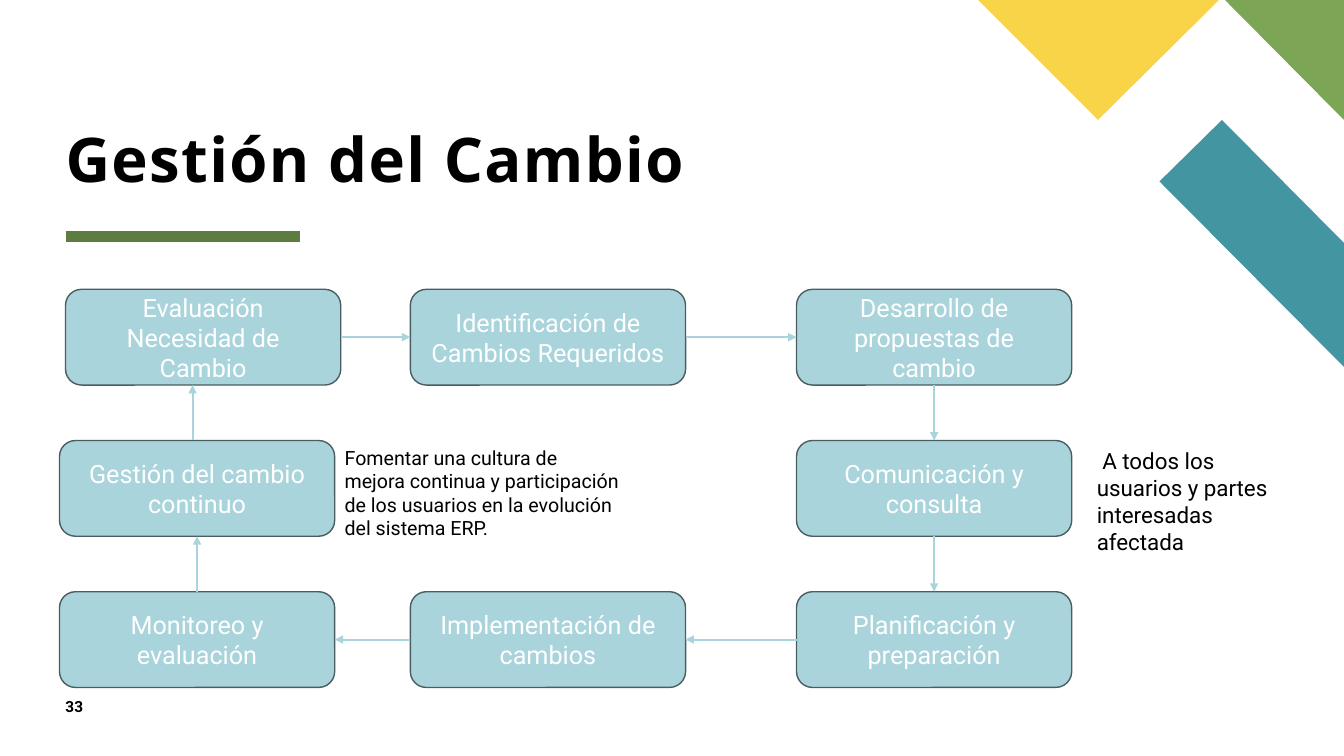
from dataclasses import dataclass

from lxml.etree import SubElement
from pptx import Presentation
from pptx.dml.color import RGBColor
from pptx.enum.shapes import MSO_CONNECTOR, MSO_SHAPE
from pptx.enum.text import MSO_ANCHOR, MSO_AUTO_SIZE, PP_ALIGN
from pptx.oxml.ns import qn
from pptx.shapes.autoshape import Shape
from pptx.shapes.connector import Connector
from pptx.slide import Slide
from pptx.util import Inches, Pt

WHITE = RGBColor(0xFF, 0xFF, 0xFF)
BLACK = RGBColor(0x00, 0x00, 0x00)
TEAL = RGBColor(0x44, 0x95, 0xA2)
GREEN = RGBColor(0x7C, 0xA6, 0x55)
YELLOW = RGBColor(0xF9, 0xD4, 0x48)
DARK_GREEN = RGBColor(0x5D, 0x7D, 0x40)
LIGHT_BLUE = RGBColor(0xA9, 0xD4, 0xDB)
SLATE = RGBColor(0x4A, 0x5D, 0x60)

BOX_W, BOX_H = 2.73, 0.95
ROWS = (2.87, 4.37, 5.87)
TOP, LEFT, BOTTOM, RIGHT = range(4)  # connection sites of a box


@dataclass
class Ornament:
    color: RGBColor
    points: list[tuple[float, float]]


@dataclass
class Step:
    text: str
    left: float
    row: int
    exit: int
    entry: int


@dataclass
class Label:
    text: str
    left: float
    top: float
    width: float
    height: float
    size: float
    font: str = "Roboto"
    bold: bool = False
    inset: bool = True
    anchor: MSO_ANCHOR = MSO_ANCHOR.TOP


ORNAMENTS = [
    Ornament(TEAL, [(13.33, 3.64), (13.33, 2.41), (12.12, 1.19), (11.5, 1.8)]),
    Ornament(GREEN, [(13.33, 1.19), (13.33, 0), (12.15, 0)]),
    Ornament(YELLOW, [(9.7, 0), (10.89, 1.19), (12.09, 0)]),
]

# Clockwise around the cycle; entry is the side where the arrow arrives
STEPS = [
    Step("Evaluación Necesidad de Cambio", 0.65, 0, RIGHT, BOTTOM),
    Step("Identificación de Cambios Requeridos", 4.07, 0, RIGHT, LEFT),
    Step("Desarrollo de propuestas de cambio", 7.9, 0, BOTTOM, LEFT),
    Step("Comunicación y consulta", 7.9, 1, BOTTOM, TOP),
    Step("Planificación y preparación", 7.9, 2, LEFT, TOP),
    Step("Implementación de cambios", 4.07, 2, LEFT, RIGHT),
    Step("Monitoreo y evaluación", 0.59, 2, TOP, RIGHT),
    Step("Gestión del cambio continuo", 0.59, 1, TOP, BOTTOM),
]

TITLE = Label("Gestión del Cambio", 0.65, 0.3, 10.69, 1.63, 44, "Open Sans",
              bold=True, inset=False, anchor=MSO_ANCHOR.BOTTOM)
LABELS = [
    Label(" A todos los usuarios y partes interesadas afectada",
          10.78, 4.39, 2.24, 0.91, 16),
    Label("Fomentar una cultura de mejora continua y participación de los "
          "usuarios en la evolución del sistema ERP.",
          3.32, 4.37, 2.94, 1.04, 14),
    Label("33", 0.65, 6.92, 0.57, 0.27, 11, bold=True, inset=False),
]


def add_ornament(s: Slide, o: Ornament) -> None:
    points = [(Inches(x), Inches(y)) for x, y in o.points]
    builder = s.shapes.build_freeform(*points[0])
    builder.add_line_segments(points[1:], close=True)
    sp = builder.convert_to_shape()
    sp.shadow.inherit = False
    sp.fill.solid()
    sp.fill.fore_color.rgb = o.color
    sp.line.fill.background()


def add_label(s: Slide, label: Label) -> Shape:
    sp = s.shapes.add_textbox(Inches(label.left), Inches(label.top),
                              Inches(label.width), Inches(label.height))
    tf = sp.text_frame
    tf.word_wrap = True
    tf.vertical_anchor = label.anchor
    if label.inset:
        tf.auto_size = MSO_AUTO_SIZE.SHAPE_TO_FIT_TEXT
    else:
        tf.margin_left = tf.margin_right = tf.margin_top = tf.margin_bottom = 0
    tf.text = label.text
    font = tf.paragraphs[0].runs[0].font
    font.name, font.size, font.bold = label.font, Pt(label.size), label.bold
    font.color.rgb = BLACK
    return sp


def add_step(s: Slide, step: Step) -> Shape:
    sp = s.shapes.add_shape(MSO_SHAPE.ROUNDED_RECTANGLE, Inches(step.left),
                            Inches(ROWS[step.row]), Inches(BOX_W), Inches(BOX_H))
    sp.shadow.inherit = False
    sp.fill.solid()
    sp.fill.fore_color.rgb = LIGHT_BLUE
    sp.line.color.rgb = SLATE
    sp.line.width = Pt(1)
    tf = sp.text_frame
    tf.word_wrap = True
    tf.vertical_anchor = MSO_ANCHOR.MIDDLE
    tf.text = step.text
    p = tf.paragraphs[0]
    p.alignment = PP_ALIGN.CENTER
    font = p.runs[0].font
    font.name, font.size = "Roboto", Pt(18)
    font.color.rgb = WHITE
    return sp


def add_line(s: Slide, x1: float, y1: float, x2: float, y2: float,
             color: RGBColor, width: float) -> Connector:
    line = s.shapes.add_connector(MSO_CONNECTOR.STRAIGHT, Inches(x1), Inches(y1),
                                  Inches(x2), Inches(y2))
    line.line.color.rgb = color
    line.line.width = Pt(width)
    SubElement(line._element.spPr, qn("a:effectLst"))
    return line


def add_arrow(s: Slide, x1: float = 0, y1: float = 0,
              x2: float = 0, y2: float = 0) -> Connector:
    arrow = add_line(s, x1, y1, x2, y2, LIGHT_BLUE, 1.5)
    SubElement(arrow.line._get_or_add_ln(), qn("a:tailEnd"), type="triangle")
    return arrow


def main() -> None:
    prs = Presentation()
    prs.slide_width, prs.slide_height = Inches(13.33), Inches(7.5)
    s = prs.slides.add_slide(prs.slide_layouts[6])

    # Corner ornaments, title and its underline
    for ornament in ORNAMENTS:
        add_ornament(s, ornament)
    add_line(s, 0.65, 2.35, 2.98, 2.35, DARK_GREEN, 8)
    p = add_label(s, TITLE).text_frame.paragraphs[0]
    p.line_spacing = 0.8
    p.runs[0].font._element.set("spc", "100")

    # Cycle of steps, each joined to the next
    boxes = [add_step(s, step) for step in STEPS]
    for i in range(len(STEPS) - 1):
        arrow = add_arrow(s)
        arrow.begin_connect(boxes[i], STEPS[i].exit)
        arrow.end_connect(boxes[i + 1], STEPS[i + 1].entry)
    # The closing arrow stays upright although the two boxes are offset
    add_arrow(s, 1.91, ROWS[1], 1.91, ROWS[0] + BOX_H)

    # Side notes and page number
    for label in LABELS:
        add_label(s, label)

    prs.save("out.pptx")


if __name__ == "__main__":
    main()
